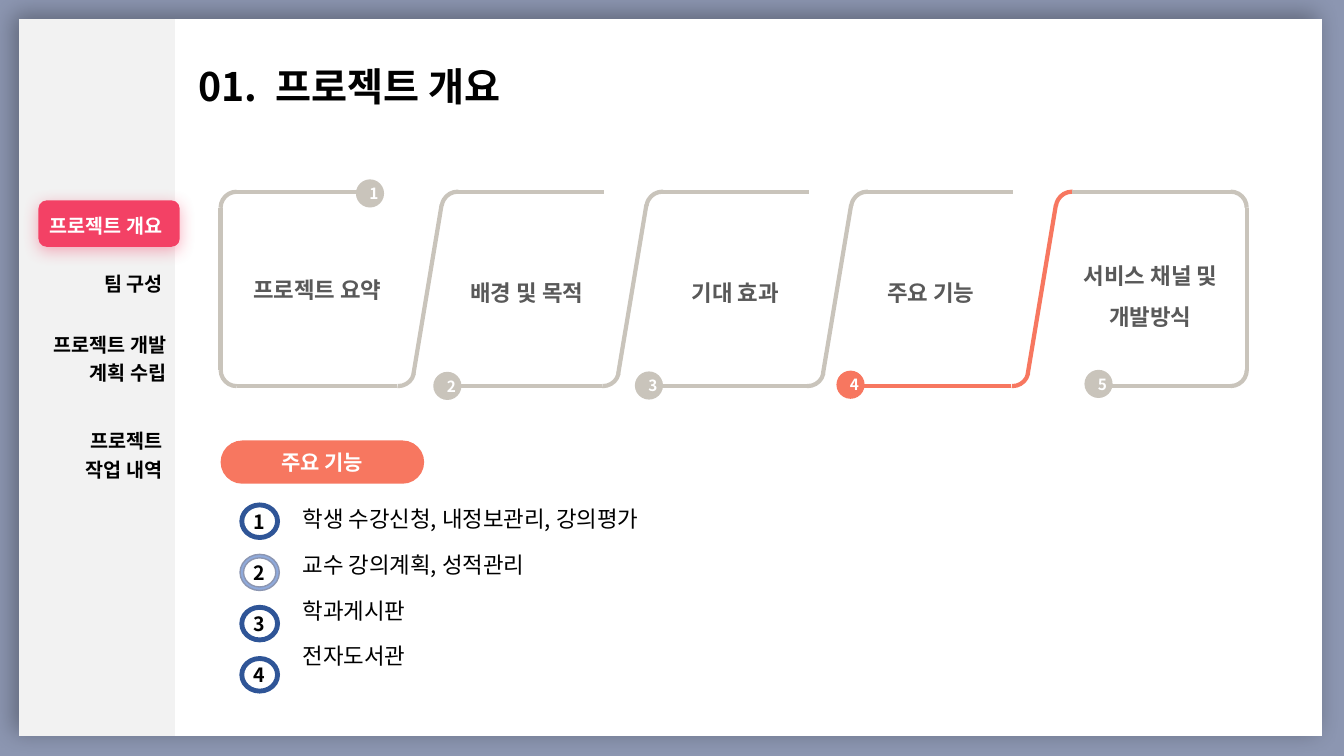
from lxml.etree import SubElement as Sub
from pptx import Presentation
from pptx.dml.color import RGBColor
from pptx.enum.shapes import MSO_CONNECTOR as Link, MSO_SHAPE as Kind
from pptx.enum.text import MSO_ANCHOR as Anchor, MSO_AUTO_SIZE as Auto, PP_ALIGN as Align
from pptx.oxml.ns import qn
from pptx.util import Cm, Pt

FONT = "Noto Sans CJK KR"
BACK = RGBColor(0x8C, 0x96, 0xB1)
SIDE = RGBColor(0xF2, 0xF2, 0xF2)
WHITE = RGBColor(0xFF, 0xFF, 0xFF)
BLACK = RGBColor(0, 0, 0)
PINK = RGBColor(0xF3, 0x41, 0x65)
CORAL = RGBColor(0xF7, 0x77, 0x60)
SAND = RGBColor(0xC9, 0xC4, 0xBB)
GREY = RGBColor(0x59, 0x59, 0x59)
NAVY = RGBColor(0x2F, 0x55, 0x97)
SKY = RGBColor(0x8F, 0xAA, 0xDC)

PITCH, ARC = 5.16, 0.81
STEPS = [
    ("프로젝트 요약", 0.16, 1.67, 3.41, -0.31, SAND),
    ("배경 및 목적", 5.44, 1.75, 5.36, 4.54, SAND),
    ("기대 효과", 10.7, 1.75, 10.44, 4.53, SAND),
    ("주요 기능", 15.62, 1.75, 15.52, 4.51, CORAL),
    ("서비스 채널 및 개발방식", 21.16, 1.32, 21.77, 4.49, SAND),
]
MENU = [
    (1.27, []),
    (1.47, ["프로젝트 개요"]),
    (1.47, ["팀 구성"]),
    (2.29, ["프로젝트 개발", "계획 수립"]),
    (2.59, ["프로젝트", "작업 내역"]),
] + [(1.5, [])] * 4
TASKS = [
    ("학생 수강신청, 내정보관리, 강의평가", NAVY, NAVY),
    ("교수 강의계획, 성적관리", SKY, BACK),
    ("학과게시판", NAVY, NAVY),
    ("전자도서관", NAVY, NAVY),
]


def write(para, text, size, color, bold=True):
    """Add one styled run to a paragraph."""
    run = para.add_run()
    run.text = text
    font = run.font
    font.name, font.size, font.bold = FONT, Pt(size), bold
    font.color.rgb = color
    Sub(font._element, qn("a:ea"), typeface=FONT)


def shade(shape, color, alpha, blur, dist, angle):
    """Give a shape an outer shadow."""
    shape.shadow.inherit = False
    cast = Sub(shape._element.spPr.find(qn("a:effectLst")), qn("a:outerShdw"),
               blurRad=str(Pt(blur)), dist=str(Pt(dist)), dir=str(angle * 60000),
               algn="ctr", rotWithShape="0")
    tint = Sub(cast, qn("a:srgbClr"), val=str(color))
    Sub(tint, qn("a:alpha"), val=str(alpha * 1000))


def draw(slide, kind, x, y, w, h, fill=None, line=None, width=1):
    """Add a flat preset shape."""
    shape = slide.shapes.add_shape(kind, Cm(x), Cm(y), Cm(w), Cm(h))
    shape.shadow.inherit = False
    if fill is None:
        shape.fill.background()
    else:
        shape.fill.solid()
        shape.fill.fore_color.rgb = fill
    if line is None:
        shape.line.fill.background()
    else:
        shape.line.color.rgb = line
        shape.line.width = Pt(width)
    return shape


def label(shape, text, size, color, left=0):
    """Centre one line of text in a shape."""
    frame = shape.text_frame
    frame.word_wrap = False
    frame.margin_left = Cm(left)
    frame.margin_right = frame.margin_top = frame.margin_bottom = 0
    frame.vertical_anchor = Anchor.MIDDLE
    frame.paragraphs[0].alignment = Align.CENTER
    write(frame.paragraphs[0], text, size, color)


def stroke(slide, x1, y1, x2, y2, color):
    """Draw a straight outline piece."""
    line = slide.shapes.add_connector(Link.STRAIGHT, Cm(x1), Cm(y1), Cm(x2), Cm(y2))
    line.line.color.rgb = color
    line.line.width = Pt(3)
    Sub(line._element.spPr, qn("a:effectLst"))


def bend(slide, x, y, turn, color, start=162, end=0):
    """Draw a rounded corner."""
    arc = draw(slide, Kind.ARC, x, y, ARC, ARC, None, color, 3)
    arc.rotation = turn
    arc.adjustments[0], arc.adjustments[1] = start, end


def panel(slide, x, y, w, h):
    """Place the white page with its grey side strip."""
    page = draw(slide, Kind.RECTANGLE, x, y, w, h, WHITE)
    page.fill.gradient()
    page.fill.gradient_angle = 0
    for stop, color in zip(page.fill.gradient_stops, (SIDE, WHITE)):
        stop.position = 0.12
        stop.color.rgb = color
    shade(page, BLACK, 31, 17, 5, 225)


def menu(slide, x, y, w):
    """Place the side menu and its active tab."""
    tab = draw(slide, Kind.ROUNDED_RECTANGLE, x + 0.13, y + 1.39, 3.56, 1.17, PINK)
    tab.adjustments[0] = 0.177
    shade(tab, PINK, 41, 12, 3, 90)
    total = sum(high for high, _ in MENU)
    table = slide.shapes.add_table(len(MENU), 1, Cm(x), Cm(y), Cm(w), Cm(total)).table
    table.first_row = table.horz_banding = False
    table._tbl.tblPr[0].text = "{2D5ABB26-0587-4C30-8999-92F81FD0307C}"
    for i, (high, lines) in enumerate(MENU):
        table.rows[i].height = Cm(high)
        cell = table.cell(i, 0)
        cell.fill.background()
        cell.vertical_anchor = Anchor.MIDDLE
        active = i == 1
        cell.margin_right = Cm(0.25 if active else 0.3 if i == 3 else 0.4)
        para = cell.text_frame.paragraphs[0]
        para.alignment = Align.CENTER if active else Align.RIGHT
        for j, text in enumerate(lines):
            if j:
                para.add_line_break()
            write(para, text, 14, WHITE if active else BLACK)


def head(slide, x, y, w, h):
    """Place the slide title."""
    title = slide.shapes.title
    title.left, title.top, title.width, title.height = Cm(x), Cm(y), Cm(w), Cm(h)
    frame = title.text_frame
    frame.auto_size = Auto.NONE
    frame.vertical_anchor = Anchor.MIDDLE
    frame.paragraphs[0].alignment = Align.LEFT
    write(frame.paragraphs[0], "01.  프로젝트 개요", 28, BLACK)


def flow(slide, x, y, w, h):
    """Place the chain of five slanted steps."""
    low, end = y + h, x + w
    bend(slide, x, y, 270, SAND)
    stroke(slide, x + 0.4, y, x + 3.6, y, SAND)
    stroke(slide, x, y + 0.4, x, low - 0.4, SAND)
    bend(slide, x, low - ARC, 180, SAND)
    for k in range(4):
        left = x + 0.41 + k * PITCH
        color = STEPS[k][-1]
        stroke(slide, left, low, left + 4.04, low, color)
        bend(slide, left + 3.66, low - ARC, 90, color, 168.61, 1.46)
        stroke(slide, left + 4.45, low - 0.31, left + PITCH, y + 0.33, color)
        bend(slide, left + PITCH, y, 270, color, 166.35, 1.26)
        stroke(slide, left + 5.56, y, left + (9.25 if k < 3 else 9.56), y, SAND)
    bend(slide, end - ARC, y, 0, SAND)
    stroke(slide, end, y + 0.4, end, low - 0.4, SAND)
    bend(slide, end - ARC, low - ARC, 90, SAND)
    stroke(slide, end - 0.4, low, end - 3.61, low, SAND)
    for i, (text, tx, ty, bx, by, color) in enumerate(STEPS, 1):
        dot = draw(slide, Kind.OVAL, x + bx, y + by, 0.71, 0.71, color)
        label(dot, str(i), 11, WHITE, 0.2)
        box = slide.shapes.add_textbox(Cm(x + tx), Cm(y + ty), Cm(4.55),
                                       Cm(2.31 if i == 5 else 1.27))
        box.text_frame.word_wrap = True
        para = box.text_frame.paragraphs[0]
        para.alignment, para.line_spacing = Align.CENTER, 1.5
        write(para, text, 16, GREY)


def tasks(slide, x, y, w, h):
    """Place the heading pill and the numbered list."""
    pill = draw(slide, Kind.ROUNDED_RECTANGLE, x, y, 5.13, 1.09, CORAL)
    pill.adjustments[0] = 0.5
    label(pill, "주요 기능", 15, WHITE)
    body = slide.placeholders[1]
    body.left, body.top, body.width, body.height = Cm(x + 1.81), Cm(y + 1.51), Cm(w), Cm(h)
    frame = body.text_frame
    frame.auto_size = Auto.NONE
    for i, (text, fill, line) in enumerate(TASKS):
        ring = draw(slide, Kind.DONUT, x + 0.49, y + 1.58 + i * 1.29, 0.99, 0.91, fill, line)
        ring.adjustments[0] = 0.097
        label(ring, str(i + 1), 14, BLACK)
        para = frame.paragraphs[0] if i == 0 else frame.add_paragraph()
        para.space_before, para.space_after = Pt(0), Pt(13.4)
        prop = para._p.get_or_add_pPr()
        prop.set("marL", "0")
        prop.set("indent", "0")
        Sub(prop, qn("a:buNone"))
        write(para, text, 16, BLACK, False)


def main():
    """Build and save the slide."""
    deck = Presentation()
    deck.slide_width, deck.slide_height = Cm(33.87), Cm(19.05)
    slide = deck.slides.add_slide(deck.slide_layouts[1])
    slide.background.fill.solid()
    slide.background.fill.fore_color.rgb = BACK
    panel(slide, 0.48, 0.48, 32.84, 18.08)
    for item in list(slide.placeholders):
        slide.shapes._spTree.append(item._element)
    menu(slide, 0.84, 3.66, 3.66)
    head(slide, 4.75, 1.45, 21.2, 1.45)
    flow(slide, 5.56, 4.83, 25.86, 4.9)
    tasks(slide, 5.56, 11.1, 23.24, 5.5)
    deck.save("out.pptx")


if __name__ == "__main__":
    main()
